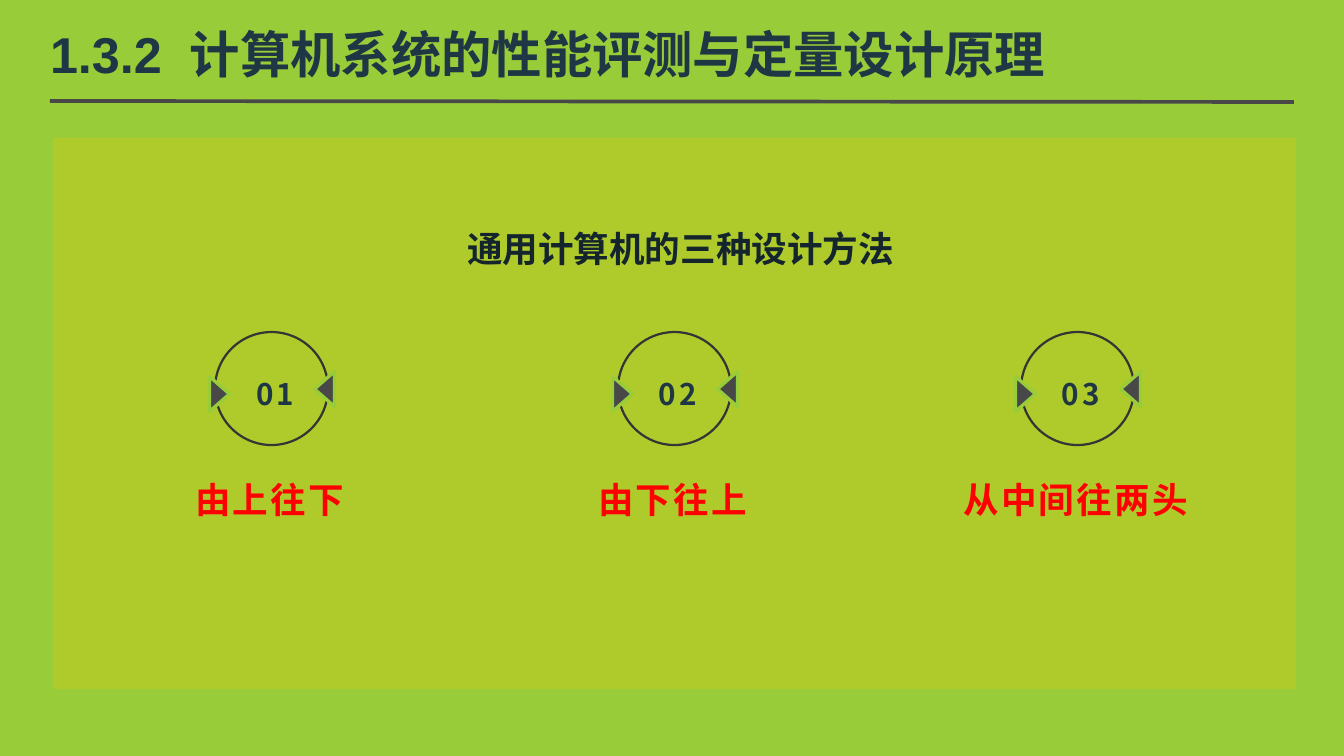
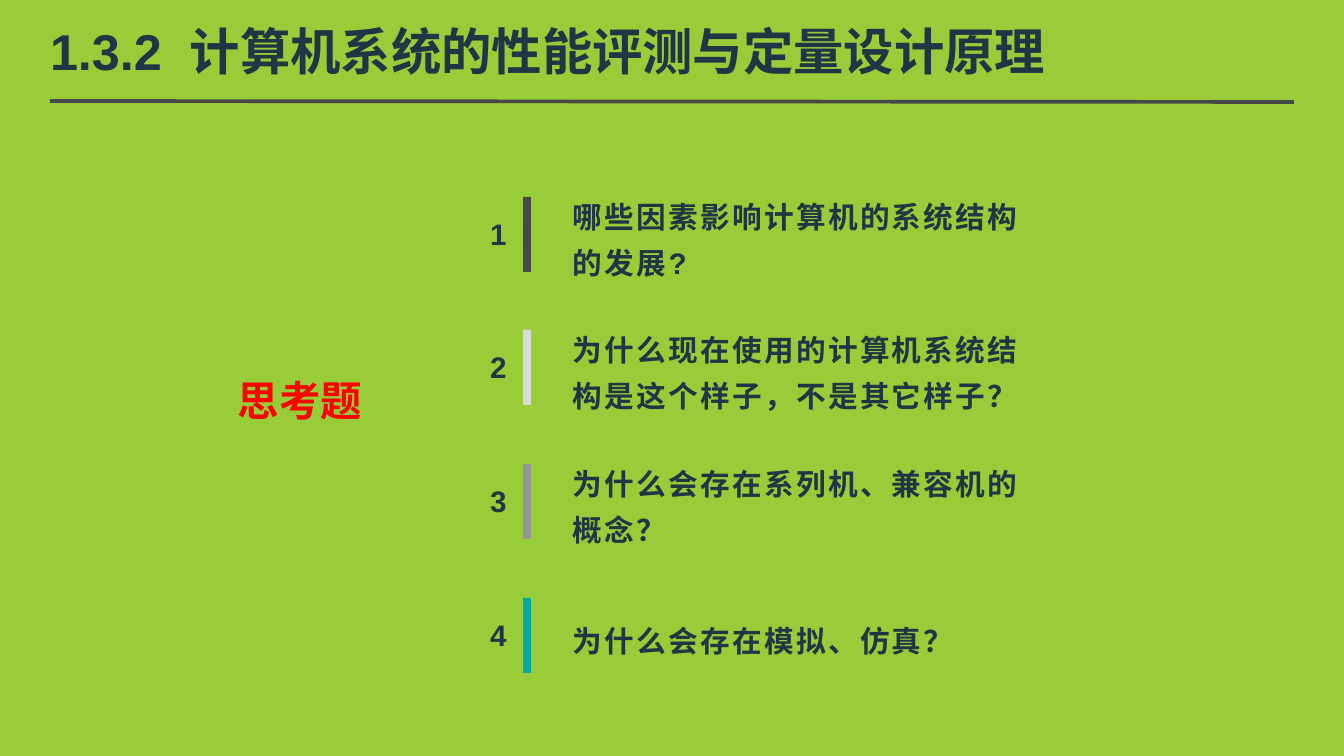
from lxml import etree
from pptx import Presentation
from pptx.dml.color import RGBColor
from pptx.enum.shapes import MSO_CONNECTOR, MSO_SHAPE
from pptx.enum.text import MSO_ANCHOR, PP_ALIGN
from pptx.oxml.ns import qn
from pptx.util import Emu, Pt

RECTANGLE, OVAL, TRIANGLE = MSO_SHAPE.RECTANGLE, MSO_SHAPE.OVAL, MSO_SHAPE.ISOSCELES_TRIANGLE
TOP, MIDDLE, BOTTOM = MSO_ANCHOR.TOP, MSO_ANCHOR.MIDDLE, MSO_ANCHOR.BOTTOM
LEFT, CENTER = PP_ALIGN.LEFT, PP_ALIGN.CENTER

COLORS = {
    "background": "99CC39", "card": "F9C900", "dark": "484849", "ring": "353536",
    "text": "1F3744", "heading": "14252D", "red": "FF0000",
    "light": "D9D9D9", "gray": "969696", "teal": "00AAA2",
}
LATIN, CJK = "Arial", "Noto Sans CJK SC"
EMU_PER_PX = 8572.5
SLIDE_SIZE = (1344, 756)

# Runs of (text, letter spacing in points)
TITLE = (("1.3.2", 0), (" ", 9.5), ("计算机系统的性能评测与定量设计原理", 0))
METHODS_HEADING = "通用计算机的三种设计方法"
METHODS = ["由上往下", "由下往上", "从中间往两头"]
QUESTIONS_HEADING = "思考题"
QUESTIONS = [
    ("哪些因素影响计算机的系统结构的发展?", "dark"),
    ("为什么现在使用的计算机系统结构是这个样子，不是其它样子？", "light"),
    ("为什么会存在系列机、兼容机的概念？", "gray"),
    ("为什么会存在模拟、仿真？", "teal"),
]

RING_LEFT, RING_TOP, RING_SIZE, RING_STEP = 215, 332, 113, 403
BAR_LEFT, FIRST_BAR_TOP, LAST_BAR_TOP = 523, 197, 598


def px(value):
    return Emu(round(value * EMU_PER_PX))


def color(name):
    return RGBColor.from_string(COLORS[name])


def add_shape(slide, kind, box, fill=None, line=None, line_width=1, rotation=0, opacity=None):
    shape = slide.shapes.add_shape(kind, *map(px, box))
    shape.shadow.inherit = False
    shape.rotation = rotation
    if fill:
        shape.fill.solid()
        shape.fill.fore_color.rgb = color(fill)
    else:
        shape.fill.background()
    if opacity is not None:
        fill_color = shape.fill._xPr.find(qn("a:solidFill"))[0]
        etree.SubElement(fill_color, qn("a:alpha"), val=str(opacity * 1000))
    if line:
        shape.line.color.rgb = color(line)
        shape.line.width = Pt(line_width)
    else:
        shape.line.fill.background()


def add_text(slide, text, box, size=20, font=LATIN, ink="text", align=LEFT,
             anchor=TOP, insets=(0, 0), line_spacing=None, spacing=0):
    """Add bold text, given as a string or as runs of (text, letter spacing)."""
    frame = slide.shapes.add_textbox(*map(px, box)).text_frame
    frame.word_wrap = True
    frame.vertical_anchor = anchor
    frame.margin_left = frame.margin_right = px(insets[0])
    frame.margin_top = frame.margin_bottom = px(insets[1])
    paragraph = frame.paragraphs[0]
    paragraph.alignment = align
    if line_spacing:
        paragraph.line_spacing = line_spacing
    runs = [(text, spacing)] if isinstance(text, str) else text
    for words, points in runs:
        run = paragraph.add_run()
        run.text = words
        run.font.size = Pt(size)
        run.font.bold = True
        run.font.name = font
        run.font.color.rgb = color(ink)
        properties = run.font._element
        properties.set("spc", str(round(points * 100)))
        etree.SubElement(properties, qn("a:ea"), typeface=CJK)


def add_titled_slide(presentation, title_anchor):
    slide = presentation.slides.add_slide(presentation.slide_layouts[6])
    slide.background.fill.solid()
    slide.background.fill.fore_color.rgb = color("background")
    rule = slide.shapes.add_connector(MSO_CONNECTOR.STRAIGHT, *map(px, (50, 101, 1294, 102)))
    rule.line.color.rgb = color("dark")
    rule.line.width = Pt(2.5)
    etree.SubElement(rule._element.spPr, qn("a:effectLst"))
    add_text(slide, TITLE, (50, 17, 1243, 67), size=34, anchor=title_anchor)
    return slide


def add_method(slide, index, name):
    left = RING_LEFT + index * RING_STEP
    add_shape(slide, OVAL, (left, RING_TOP, RING_SIZE, RING_SIZE), line="ring", line_width=1.5)
    for offset, top, rotation in ((-13, 384, 90), (92, 379, 270)):
        add_shape(slide, TRIANGLE, (left + offset, top, 35, 20), fill="dark",
                  line="background", line_width=2.25, rotation=rotation)
    add_text(slide, name, (left - 123, 460, 355, 283), size=24, ink="red", align=CENTER,
             insets=(10, 5), line_spacing=1.3, spacing=1.5)
    add_text(slide, f"{index + 1:02}", (left + 6, 346, 108, 77), font=CJK, align=CENTER,
             anchor=MIDDLE, line_spacing=1.5, spacing=2)


def add_question(slide, index, question, bar_color):
    top = FIRST_BAR_TOP + index * (LAST_BAR_TOP - FIRST_BAR_TOP) // (len(QUESTIONS) - 1)
    add_shape(slide, RECTANGLE, (BAR_LEFT, top, 8, 75), fill=bar_color)
    add_text(slide, question, (562, top - 19, 499, 112), anchor=MIDDLE,
             insets=(11, 5), line_spacing=1.3, spacing=1.5)
    add_text(slide, str(index + 1), (474, top - 8, 49, 89), align=CENTER,
             anchor=MIDDLE, spacing=3)


def build_methods_slide(presentation):
    slide = add_titled_slide(presentation, BOTTOM)
    add_shape(slide, RECTANGLE, (53, 138, 1243, 551), fill="card", opacity=23)
    add_text(slide, METHODS_HEADING, (59, 218, 1243, 50), size=24, ink="heading",
             align=CENTER, line_spacing=1.2)
    for index, name in enumerate(METHODS):
        add_method(slide, index, name)


def build_questions_slide(presentation):
    slide = add_titled_slide(presentation, MIDDLE)
    add_text(slide, QUESTIONS_HEADING, (227, 370, 190, 61), size=28, font=CJK, ink="red",
             insets=(11, 5))
    for index, (question, bar_color) in enumerate(QUESTIONS):
        add_question(slide, index, question, bar_color)


def main():
    presentation = Presentation()
    presentation.slide_width, presentation.slide_height = map(px, SLIDE_SIZE)
    build_methods_slide(presentation)
    build_questions_slide(presentation)
    presentation.save("out.pptx")


if __name__ == "__main__":
    main()
